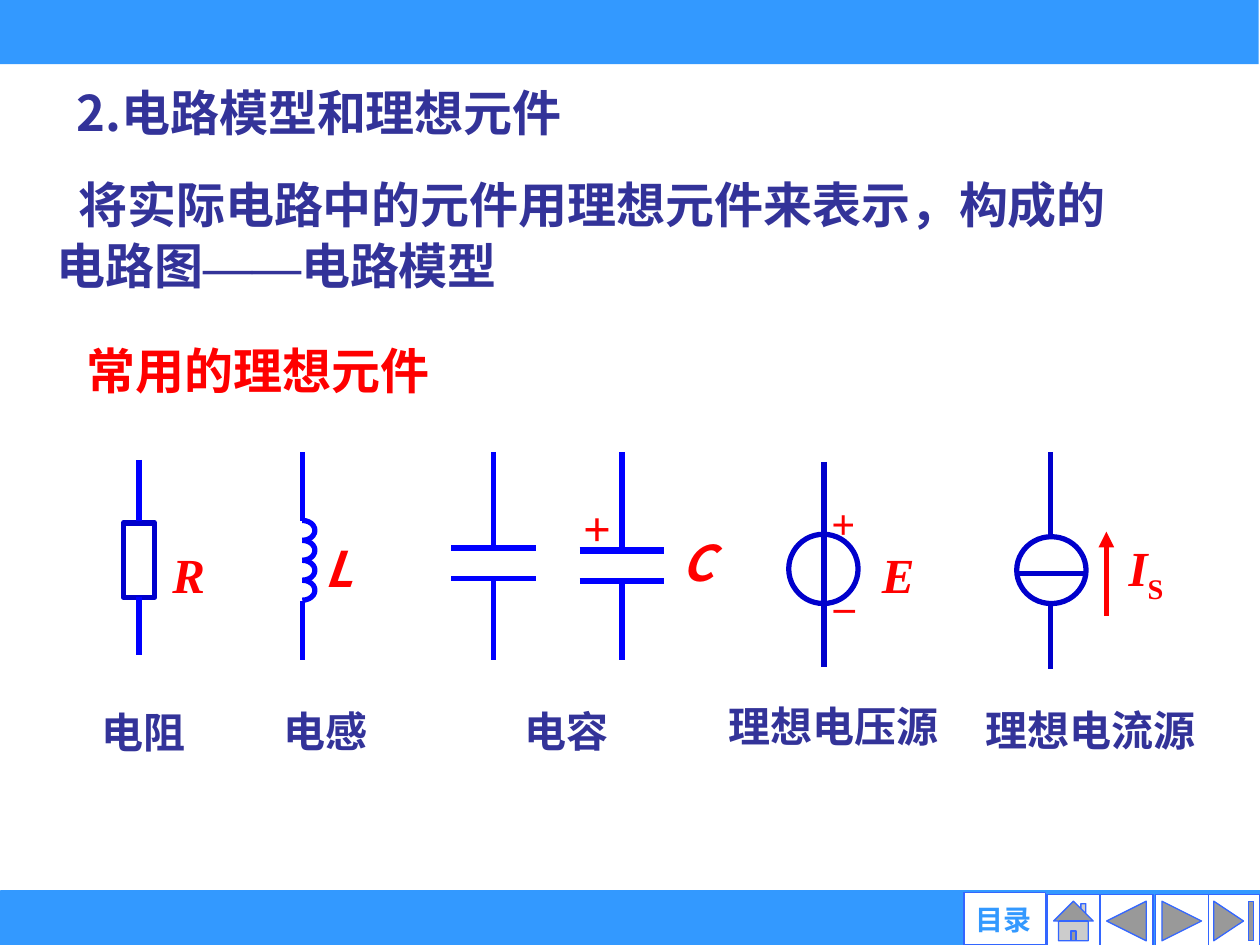
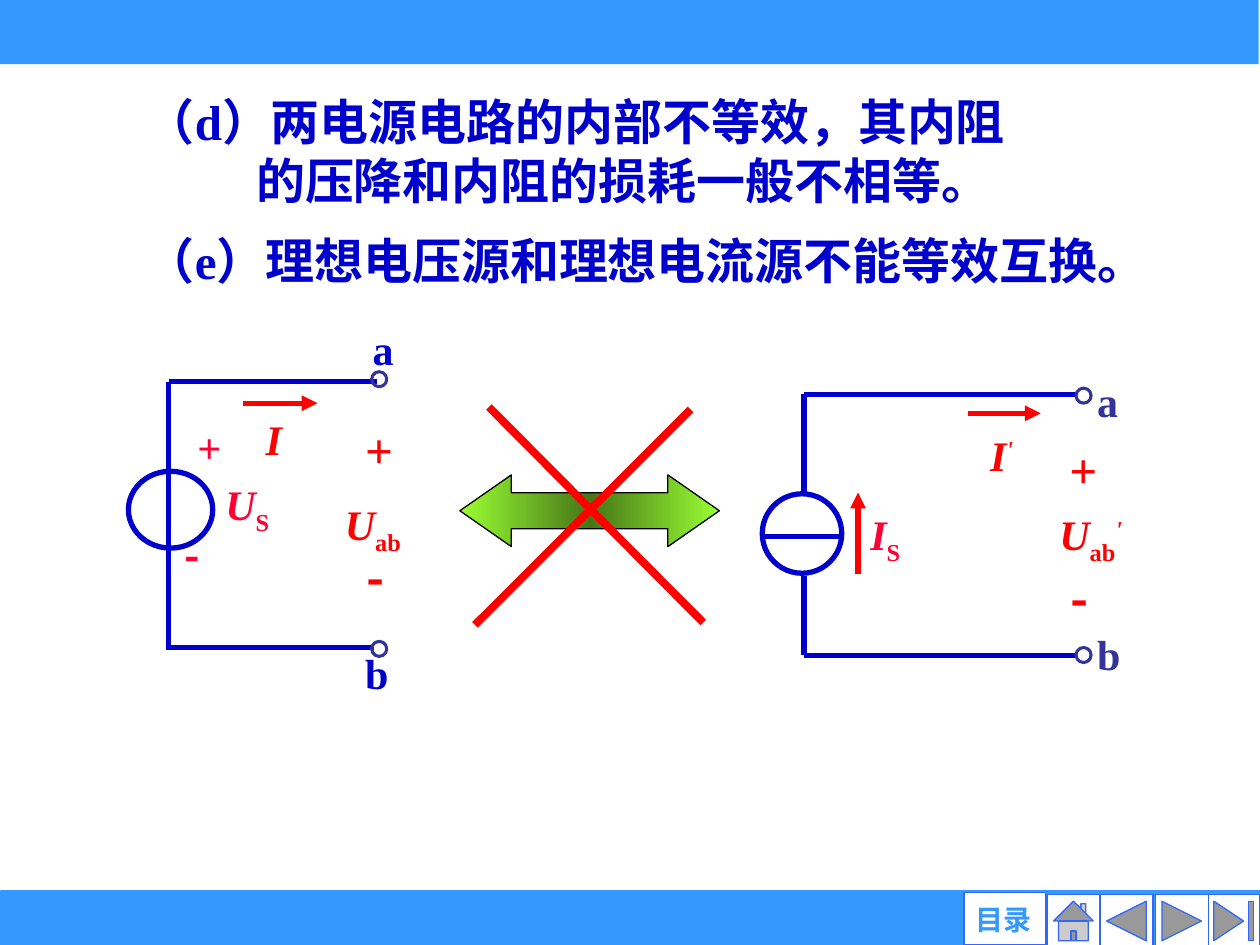
from dataclasses import dataclass
from lxml.etree import SubElement
from pptx import Presentation
from pptx.dml.color import RGBColor
from pptx.enum.shapes import MSO_CONNECTOR as Link, MSO_SHAPE as Shape
from pptx.enum.text import MSO_ANCHOR as Anchor, PP_ALIGN as Align
from pptx.oxml import parse_xml
from pptx.oxml.ns import nsdecls, qn
from pptx.util import Pt

COLORS = {
    "band": "3399FF", "button": "FFFFFF", "button_edge": "3366FF",
    "heading": "333399", "wire": "0000FF", "source": "0000CC",
    "mark": "FF0000", "source_mark": "FF0033", "edge": "000000",
    "arrow_end": "99FF33", "arrow_middle": "477618",
}
SERIF, SANS, UI = "Times New Roman", "Noto Sans CJK SC", "Arial"


def rgb(name):
    return RGBColor.from_string(COLORS[name])


def add_run(paragraph, text, size, color, font=SANS, italic=False, baseline=0, asian=None):
    run = paragraph.add_run()
    run.text = text
    run.font.size = Pt(size)
    run.font.bold = True
    run.font.italic = italic
    run.font.name = font
    run.font.color.rgb = rgb(color)
    props = run._r.get_or_add_rPr()
    SubElement(props, qn("a:ea")).set("typeface", asian or font)
    if baseline:
        props.set("baseline", str(baseline * 1000))


def set_line(line, color, width):
    line.color.rgb = rgb(color)
    line.width = Pt(width)


@dataclass
class Region:
    slide: object
    left: float
    top: float

    def shape(self, kind, x, y, width, height, color, weight=3, fill=None):
        part = self.slide.shapes.add_shape(
            kind, Pt(self.left + x), Pt(self.top + y), Pt(width), Pt(height))
        part.shadow.inherit = False
        if fill:
            part.fill.solid()
            part.fill.fore_color.rgb = rgb(fill)
        else:
            part.fill.background()
        if weight:
            set_line(part.line, color, weight)
        else:
            part.line.fill.background()
        return part

    def wire(self, x1, y1, x2, y2, color="source", weight=3, arrow=False):
        link = self.slide.shapes.add_connector(
            Link.STRAIGHT, Pt(self.left + x1), Pt(self.top + y1),
            Pt(self.left + x2), Pt(self.top + y2))
        set_line(link.line, color, weight)
        if arrow:
            SubElement(link.line._get_or_add_ln(), qn("a:tailEnd")).set("type", "triangle")
        SubElement(link._element.spPr, qn("a:effectLst"))

    def frame(self, x, y, width, height, anchor=Anchor.TOP):
        frame = self.slide.shapes.add_textbox(
            Pt(self.left + x), Pt(self.top + y), Pt(width), Pt(height)).text_frame
        frame.word_wrap = True
        frame.vertical_anchor = anchor
        return frame

    def label(self, x, y, text, size=24, color="mark", font=SERIF,
              italic=False, sub="", prime=False):
        paragraph = self.frame(x, y, 72, size * 1.5).paragraphs[0]
        add_run(paragraph, text, size, color, font, italic)
        if sub:
            add_run(paragraph, sub, size, color, font, baseline=-25)
        if prime:
            add_run(paragraph, "'", size, color, font, True, baseline=30)

    def polarity(self, x, y, size, color):
        self.label(x, y, "+", size, color)


def bands(slide):
    header = Region(slide, 0, -0.7)
    header.shape(Shape.RECTANGLE, 0, 0, 719.3, 37.4, "band", 0, "band")
    footer = Region(slide, 0.7, 509.8)
    footer.shape(Shape.RECTANGLE, 0, 0, 719.3, 30.2, "band", 3, "band")
    navigation = Region(slide, 550.8, 509.8)
    for kind, x, y, width in (
            (Shape.ACTION_BUTTON_END, 139, 1.4, 30.2),
            (Shape.ACTION_BUTTON_FORWARD_OR_NEXT, 109.4, 1.4, 30.2),
            (Shape.ACTION_BUTTON_BACK_OR_PREVIOUS, 77.8, 1.4, 30.2),
            (Shape.ACTION_BUTTON_HOME, 47.5, 1.4, 30.2),
            (Shape.ACTION_BUTTON_CUSTOM, 0, 0, 46.8)):
        navigation.shape(kind, x, y, width, 30.2, "button_edge", 0.75, "button")
    contents = navigation.frame(0, 5.7, 45.4, 19.4, Anchor.MIDDLE)
    contents.margin_left = contents.margin_right = 0
    contents.margin_top = contents.margin_bottom = 0
    contents.paragraphs[0].alignment = Align.CENTER
    add_run(contents.paragraphs[0], "目录", 16, "band", UI, asian=SANS)


def heading(slide, left, top, width, text, color):
    frame = Region(slide, left, top).frame(0, 0, width, 41, Anchor.MIDDLE)
    add_run(frame.paragraphs[0], text, 28, color)


def model_definition(slide, left, top):
    frame = Region(slide, left, top).frame(0, 0, 638.6, 77.8, Anchor.MIDDLE)
    opening, closing = frame.paragraphs[0], frame.add_paragraph()
    opening._p.get_or_add_pPr().set("indent", str(Pt(12.5)))
    opening.line_spacing = closing.line_spacing = 0.8
    closing.space_before = Pt(8)
    add_run(opening, "将实际电路中的元件用理想元件来表示，构成的", 28, "heading")
    for text, font in (("电路图", SANS), ("——", SERIF), ("电路模型", SANS)):
        add_run(closing, text, 28, "heading", font)


def resistor(slide, left, top):
    box = Region(slide, left, top)
    box.shape(Shape.RECTANGLE, 0, 40.8, 18, 42.5, "source")
    box.wire(9, 4.8, 9, 40, "wire")
    box.wire(9, 83.3, 9, 116.4, "wire")
    box.label(21, 49.4, "R", 28, italic=True)


def inductor(slide, left, top):
    box = Region(slide, left, top)
    turn = 11.4
    for index in range(4):
        arc = box.shape(Shape.ARC, -7.2, 39.4 + index * turn, 14.4, turn, "wire")
        arc.adjustments[0] = 162
        arc.adjustments[1] = 54
    box.wire(0, 0.5, 0, 40, "wire")
    box.wire(0, 85.4, 0, 119.3, "wire")
    box.label(5.8, 46, "L", 28, font=SANS, italic=True)


def capacitors(slide, left, top):
    box = Region(slide, left, top)
    for x, upper, weight in ((0, 55.2, 3), (73.4, 56.6, 3.5)):
        lower = upper + 17.6
        for plate in (upper, lower):
            box.wire(x, plate, x + 48.2, plate, "wire", weight)
        box.wire(x + 24.3, 0.5, x + 24.3, upper, "wire")
        box.wire(x + 24.3, lower, x + 24.3, 119.3, "wire")
    box.label(124.5, 42.5, "C", 28, font=SANS, italic=True)
    box.label(68.4, 22.8, "+", 28)


def voltage_source(slide, left, top):
    box = Region(slide, left, top)
    box.shape(Shape.OVAL, 0.7, 41.3, 39.6, 39.6, "source")
    box.wire(20.9, 0, 20.9, 117)
    box.label(18, 16.8, "+")
    box.label(19.4, 55.7, "_")
    box.label(46.8, 43.4, "E", 28, italic=True)


def current_source(slide, left, top):
    box = Region(slide, left, top)
    box.shape(Shape.OVAL, 0, 48.7, 39.6, 38.2, "source")
    box.wire(0, 69.6, 39.6, 69.6)
    box.wire(19.5, 0.5, 19.5, 48.7)
    box.wire(19.5, 86.2, 19.5, 124.3)
    box.wire(51.2, 94, 51.2, 45.8, "mark", arrow=True)
    box.label(56.9, 45.8, "I", 28, italic=True, sub="S")


def captions(slide, left, top):
    box = Region(slide, left, top)
    for center, y, text in ((82, 3.5, "电阻"), (186, 3, "电感"), (323.6, 3, "电容"),
                            (476.3, 0, "理想电压源"), (623.2, 2.2, "理想电流源")):
        paragraph = box.frame(center - 80, y, 160, 36, Anchor.MIDDLE).paragraphs[0]
        paragraph.alignment = Align.CENTER
        add_run(paragraph, text, 24, "heading")


def conclusion(slide, left, top, width, lines):
    frame = Region(slide, left, top).frame(0, 0, width, 41 * len(lines))
    for index, (text, indent) in enumerate(lines):
        paragraph = frame.add_paragraph() if index else frame.paragraphs[0]
        if indent:
            paragraph._p.get_or_add_pPr().set("indent", str(Pt(indent)))
        add_run(paragraph, text, 28, "source", SERIF, asian=SANS)


def terminals(box, x, upper, lower):
    for y in (upper, lower):
        box.shape(Shape.OVAL, x, y, 8.6, 8.6, "heading", 1.75)


def port_voltage(box, x, y, name_shift, name_drop, prime=False):
    box.label(x, y, "+", 28)
    box.label(x + name_shift, y + name_drop, "U", italic=True, sub="ab", prime=prime)
    box.label(x + 0.7, y + 73.4, "-", 28, font=SANS)


def voltage_circuit(slide, left, top):
    box = Region(slide, left, top)
    box.shape(Shape.OVAL, 0.4, 88.3, 48.2, 43.9, "source")
    box.wire(23.5, 37.2, 23.5, 189)
    box.wire(23.5, 37.2, 142.3, 37.2)
    box.wire(22, 189, 140.8, 189)
    terminals(box, 139.4, 31.4, 185.5)
    box.label(132.9, 0.4, "a", color="source")
    box.label(128.6, 185.5, "b", color="source")
    box.label(32.8, 56.6, "+", color="source_mark")
    box.label(48.7, 89, "U", color="source_mark", italic=True, sub="S")
    box.label(25.6, 117.8, "-", color="source_mark", font=SANS)
    box.wire(66, 49.4, 108.4, 49.4, "mark", arrow=True)
    box.label(71.7, 51.6, "I", italic=True)
    port_voltage(box, 128.6, 55.2, -11.6, 45.3)


def crossed_arrow(slide, left, top):
    box = Region(slide, left, top)
    arrow = box.shape(Shape.LEFT_RIGHT_ARROW, 0, 39.4, 148.3, 41, "edge", 0.75, "arrow_end")
    arrow.adjustments[0] = 0.5
    arrow.adjustments[1] = 0.718
    stops = "".join(
        f'<a:gs pos="{place}000"><a:srgbClr val="{COLORS[name]}"/></a:gs>'
        for place, name in ((0, "arrow_end"), (50, "arrow_middle"), (100, "arrow_end")))
    props = arrow._element.spPr
    props.replace(props.find(qn("a:solidFill")), parse_xml(
        f'<a:gradFill {nsdecls("a")} rotWithShape="1"><a:gsLst>{stops}</a:gsLst>'
        '<a:lin ang="0" scaled="1"/></a:gradFill>'))
    box.wire(131.8, 2, 8.6, 125.1, "mark", 4.5)
    box.wire(16.6, 0.6, 139, 123.7, "mark", 4.5)


def current_circuit(slide, left, top):
    box = Region(slide, left, top)
    box.shape(Shape.OVAL, 0.6, 71.2, 45.4, 45.4, "source")
    box.wire(1.3, 95.7, 46, 95.7)
    for rail, source_end in ((14.4, 72), (163.4, 118)):
        box.wire(24.4, rail, 180.6, rail)
        box.wire(24.4, rail, 24.4, source_end)
    terminals(box, 179.9, 10.8, 159)
    box.label(184.9, 0, "a", color="heading")
    box.label(184.9, 144.7, "b", color="heading")
    box.wire(118, 25.2, 159.7, 25.2, "mark", arrow=True)
    box.label(123.7, 30.9, "I", italic=True, prime=True)
    box.wire(55.3, 117.3, 55.3, 70.5, "mark", arrow=True)
    box.label(55.3, 76.3, "I", color="source_mark", italic=True, sub="S")
    port_voltage(box, 169, 36.7, -5.7, 39.6, prime=True)


def ideal_elements_slide(slide):
    bands(slide)
    heading(slide, 36.7, 43.2, 494.6, "2.电路模型和理想元件", "heading")
    model_definition(slide, 25.2, 97.9)
    heading(slide, 42.5, 190.8, 245.5, "常用的理想元件", "mark")
    resistor(slide, 70.4, 258)
    inductor(slide, 172.8, 258)
    capacitors(slide, 257.8, 258)
    voltage_source(slide, 450, 264)
    current_source(slide, 581, 258)
    captions(slide, 0, 396.7)


def source_equivalence_slide(slide):
    bands(slide)
    conclusion(slide, 76.3, 49, 595.4, (("（d）两电源电路的内部不等效，其内阻", 0),
                                        ("的压降和内阻的损耗一般不相等。", 63)))
    conclusion(slide, 76.3, 128.2, 607, (("（e）理想电压源和理想电流源不能等效互换。", 0),))
    voltage_circuit(slide, 73, 181)
    crossed_arrow(slide, 262.8, 232)
    current_circuit(slide, 435, 211)


def main():
    deck = Presentation()
    deck.slide_width, deck.slide_height = Pt(720), Pt(540)
    for build in (ideal_elements_slide, source_equivalence_slide):
        build(deck.slides.add_slide(deck.slide_layouts[6]))
    deck.save("out.pptx")


if __name__ == "__main__":
    main()
